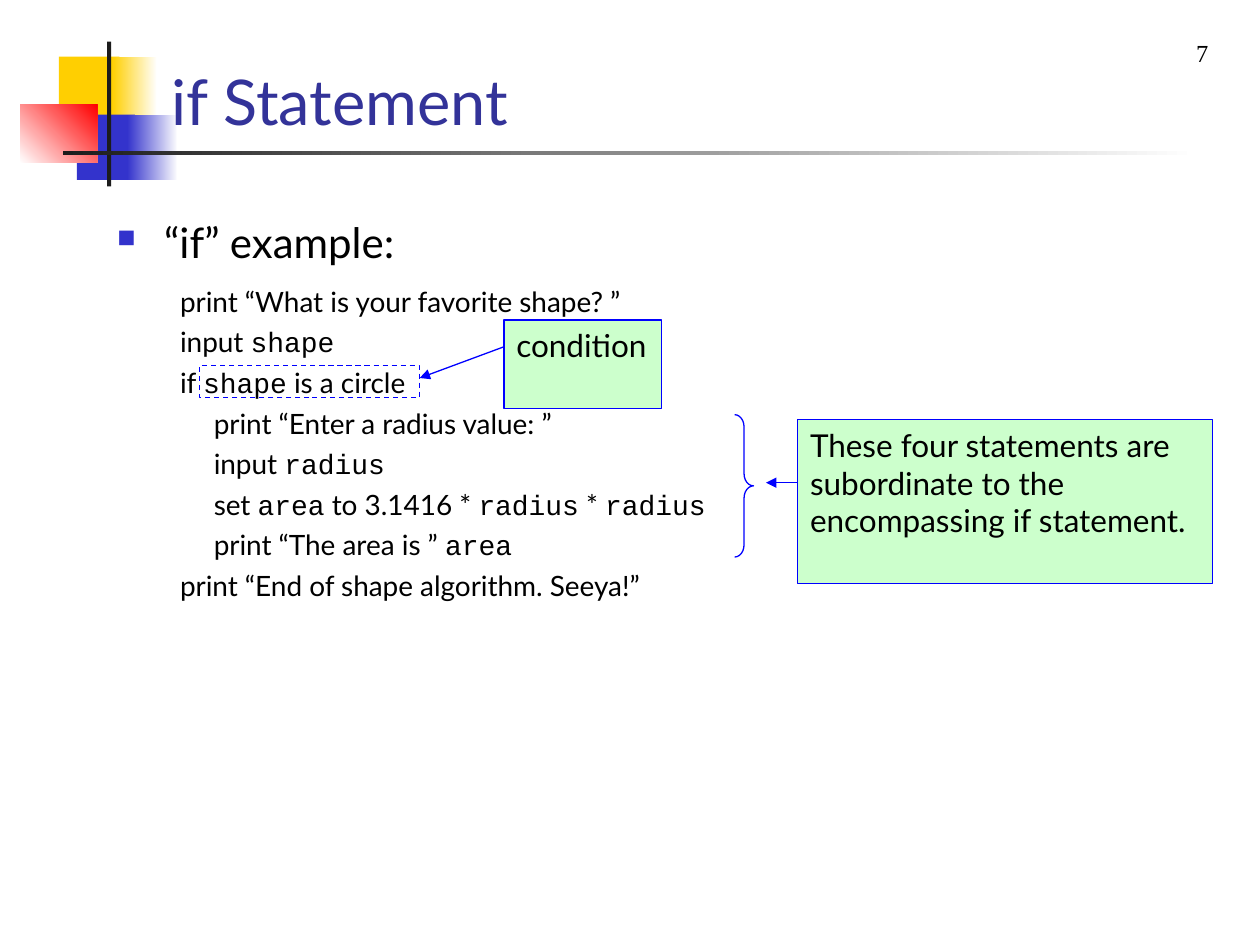
from dataclasses import dataclass
from typing import Optional

from lxml.etree import SubElement
from pptx import Presentation
from pptx.dml.color import RGBColor
from pptx.enum.dml import MSO_LINE
from pptx.enum.shapes import MSO_CONNECTOR, MSO_SHAPE
from pptx.enum.text import MSO_ANCHOR, PP_ALIGN
from pptx.oxml.ns import qn
from pptx.util import Cm, Pt


@dataclass(frozen=True)
class Theme:
    yellow: str = "FFCF01"
    blue: str = "3333CC"
    red: str = "FF0000"
    dark: str = "1C1C1C"
    white: str = "FFFFFF"
    black: str = "000000"
    title: str = "333399"
    note: str = "CCFFCC"
    outline: str = "0000FF"
    sans: str = "Lato"
    mono: str = "Courier New"
    serif: str = "Times New Roman"
    title_size: float = 36
    heading_size: float = 24
    note_size: float = 18
    code_size: float = 16
    number_size: float = 14
    line_width: float = 0.74


@dataclass(frozen=True)
class Box:
    left: float
    top: float
    width: float
    height: float

    def lengths(self) -> tuple:
        return Cm(self.left), Cm(self.top), Cm(self.width), Cm(self.height)


@dataclass(frozen=True)
class Block:
    box: Box
    color: str
    fade_to: Optional[str] = None
    angle: float = 0


@dataclass(frozen=True)
class Note:
    text: str
    box: Box


@dataclass(frozen=True)
class Arrow:
    x1: float
    y1: float
    x2: float
    y2: float


@dataclass(frozen=True)
class Code:
    text: str
    level: int = 0
    before: float = 4


T = Theme()

BLOCKS = [
    Block(Box(1.19, 1.14, 1.22, 1.32), T.yellow),
    Block(Box(2.26, 1.14, 0.91, 1.32), T.yellow, T.white),
    Block(Box(1.55, 2.31, 1.17, 1.32), T.blue),
    Block(Box(2.57, 2.31, 1.02, 1.32), T.blue, T.white),
    Block(Box(0.41, 2.11, 1.55, 1.17), T.white, T.red, 45),
    Block(Box(2.16, 0.84, 0.08, 2.92), T.dark),
    Block(Box(1.27, 3.05, 22.86, 0.08), T.dark, T.white),
]
CODE = [
    Code("print “What is your favorite shape? ”", before=10),
    Code("input `shape`"),
    Code("if `shape` is a circle"),
    Code("print “Enter a radius value: ”", 1),
    Code("input `radius`", 1),
    Code("set `area` to 3.1416 * `radius` * `radius`", 1),
    Code("print “The area is ” `area`", 1),
    Code("print “End of shape algorithm. Seeya!”"),
]
NOTES = [
    Note("These four statements are subordinate to the encompassing if statement.",
         Box(16.08, 8.46, 8.36, 3.3)),
    Note("condition", Box(10.16, 6.45, 3.18, 1.78)),
]
ARROWS = [Arrow(16.08, 9.73, 15.44, 9.73), Arrow(10.16, 6.99, 8.46, 7.62)]


def rgb(color: str) -> RGBColor:
    return RGBColor.from_string(color)


def style(p, size: float, color: str = T.black, font: str = T.sans) -> None:
    for r in p.runs:
        r.font.size, r.font.name = Pt(size), font
        r.font.color.rgb = rgb(color)


def outline(line) -> None:
    line.color.rgb = rgb(T.outline)
    line.width = Pt(T.line_width)


def add_block(s, block: Block) -> None:
    sp = s.shapes.add_shape(MSO_SHAPE.RECTANGLE, *block.box.lengths())
    sp.shadow.inherit = False
    sp.line.fill.background()
    if block.fade_to is None:
        sp.fill.solid()
        sp.fill.fore_color.rgb = rgb(block.color)
        return
    sp.fill.gradient()
    sp.fill.gradient_angle = block.angle
    for stop, color in zip(sp.fill.gradient_stops, (block.color, block.fade_to)):
        stop.color.rgb = rgb(color)


def add_outlined(s, kind: MSO_SHAPE, box: Box):
    sp = s.shapes.add_shape(kind, *box.lengths())
    sp.shadow.inherit = False
    sp.fill.background()
    outline(sp.line)
    return sp


def add_note(s, note: Note) -> None:
    sp = add_outlined(s, MSO_SHAPE.RECTANGLE, note.box)
    sp.fill.solid()
    sp.fill.fore_color.rgb = rgb(T.note)
    tf = sp.text_frame
    tf.text, tf.word_wrap = note.text, True
    tf.vertical_anchor = MSO_ANCHOR.TOP
    p = tf.paragraphs[0]
    p.alignment, p.space_before = PP_ALIGN.LEFT, Pt(11.2)
    style(p, T.note_size)


def add_arrow(s, a: Arrow) -> None:
    c = s.shapes.add_connector(MSO_CONNECTOR.STRAIGHT, Cm(a.x1), Cm(a.y1), Cm(a.x2), Cm(a.y2))
    outline(c.line)
    SubElement(c.line._get_or_add_ln(), qn("a:tailEnd"), type="triangle")
    SubElement(c.element.spPr, qn("a:effectLst"))


def add_text(s, text: str, box: Box):
    tf = s.shapes.add_textbox(*box.lengths()).text_frame
    tf.word_wrap, tf.text = True, text
    return tf


def indent(p, margin: float, first: float = 0):
    pPr = p._p.get_or_add_pPr()
    pPr.set("marL", str(Cm(margin)))
    pPr.set("indent", str(Cm(first)))
    return pPr


def add_code(tf, code: Code) -> None:
    p = tf.add_paragraph()
    p.space_before = Pt(code.before)
    indent(p, 1.27 + 0.68 * code.level)
    for i, part in enumerate(code.text.split("`")):
        if part:
            r = p.add_run()
            r.text = part
            r.font.size, r.font.name = Pt(T.code_size), T.mono if i % 2 else T.sans
            r.font.color.rgb = rgb(T.black)


def add_body(s) -> None:
    tf = add_text(s, "“if” example:", Box(2.11, 4.24, 21.79, 13.77))
    p = tf.paragraphs[0]
    p.space_before = Pt(6)
    style(p, T.heading_size)
    pPr = indent(p, 0.95, -0.95)
    SubElement(SubElement(pPr, qn("a:buClr")), qn("a:srgbClr"), val=T.blue)
    SubElement(pPr, qn("a:buSzPct"), val="60000")
    SubElement(pPr, qn("a:buChar"), char="■")
    for code in CODE:
        add_code(tf, code)


def add_title(s) -> None:
    title = s.shapes.title
    title.left, title.top, title.width, title.height = Box(3.2, 0.84, 19.66, 2.08).lengths()
    tf = title.text_frame
    tf.text, tf.vertical_anchor = "if Statement", MSO_ANCHOR.BOTTOM
    tf.paragraphs[0].alignment = PP_ALIGN.LEFT
    style(tf.paragraphs[0], T.title_size, T.title)
    s.shapes.element.append(title.element)


prs = Presentation()
prs.slide_width, prs.slide_height = Cm(25.4), Cm(19.05)
s = prs.slides.add_slide(prs.slide_layouts[5])
for block in BLOCKS:
    add_block(s, block)
add_title(s)
add_body(s)
brace = add_outlined(s, MSO_SHAPE.RIGHT_BRACE, Box(14.81, 8.36, 0.38, 2.87))
brace.adjustments[0] = 0.65
condition = add_outlined(s, MSO_SHAPE.RECTANGLE, Box(4.02, 7.37, 4.44, 0.64))
condition.line.dash_style = MSO_LINE.DASH
for note in NOTES:
    add_note(s, note)
for arrow in ARROWS:
    add_arrow(s, arrow)
number = add_text(s, "7", Box(23.7, 0.64, 1.07, 1.07)).paragraphs[0]
number.alignment = PP_ALIGN.CENTER
style(number, T.number_size, font=T.serif)
prs.save("out.pptx")
